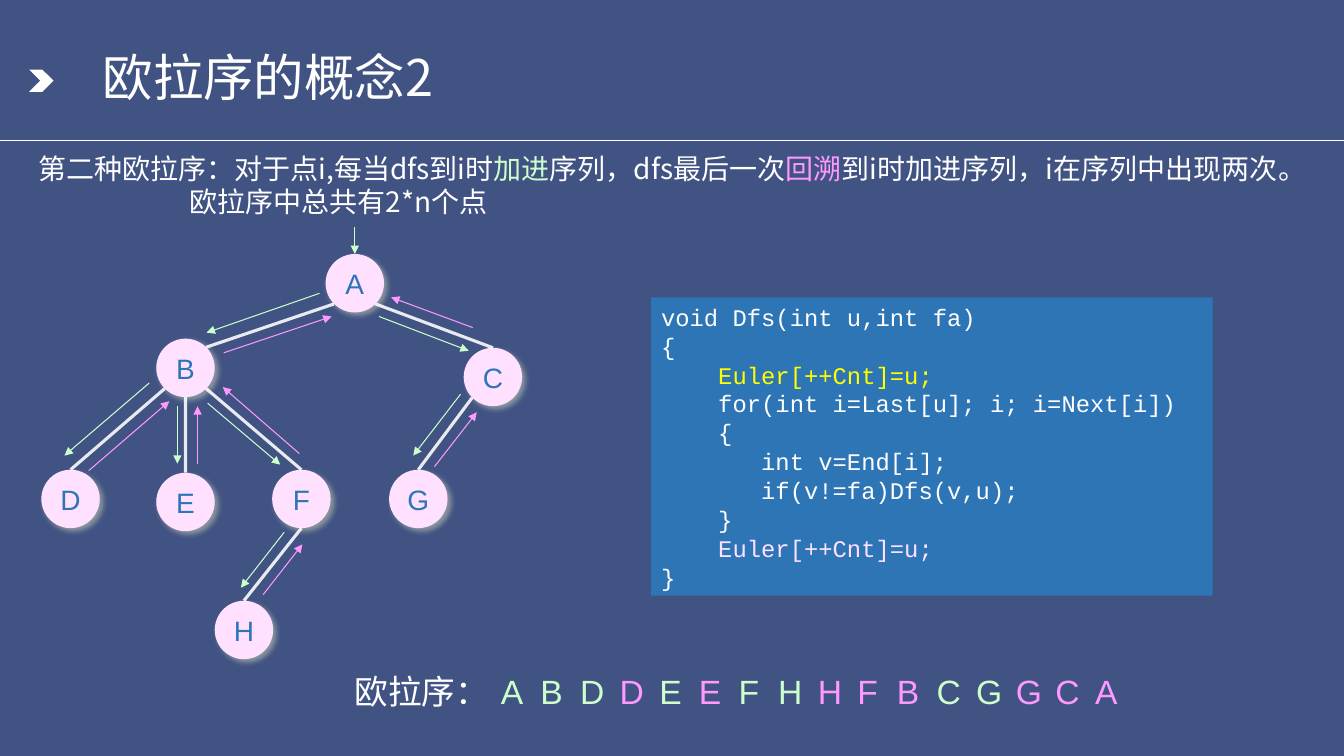
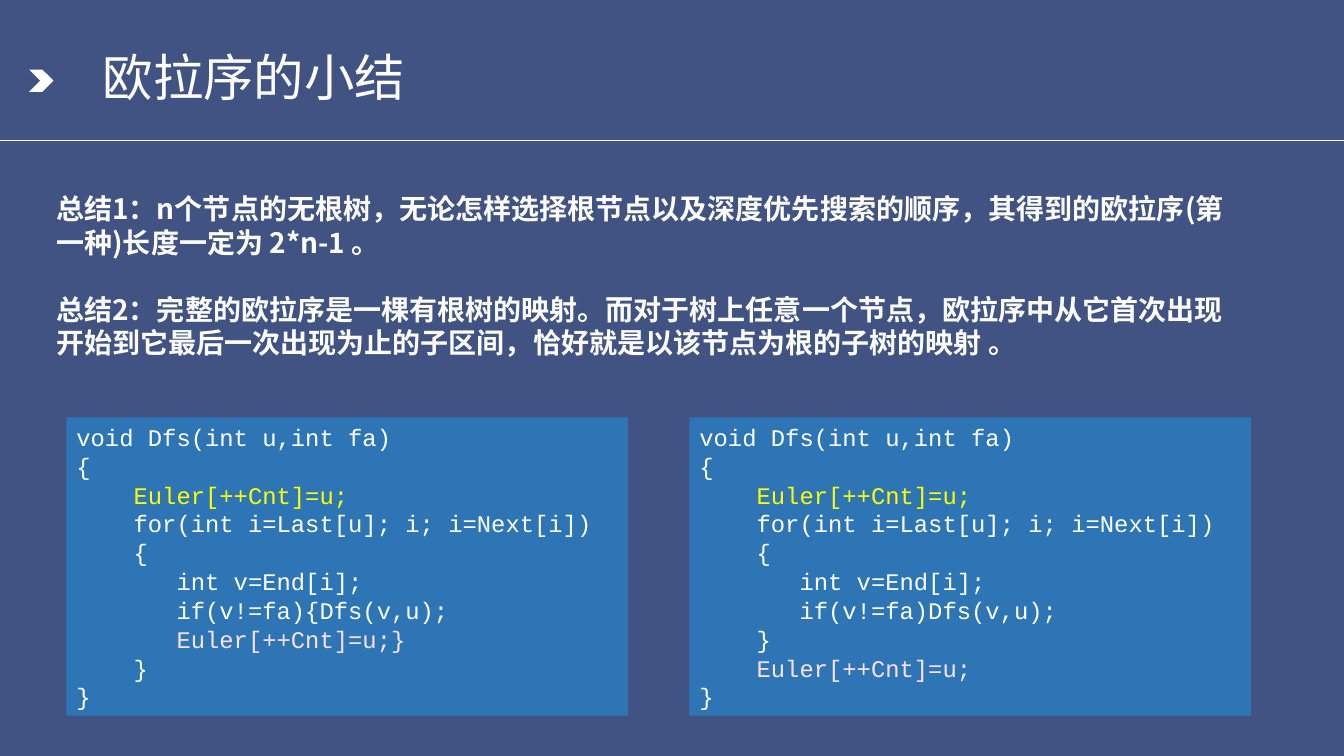
from dataclasses import dataclass
from math import cos, radians, sin

from lxml import etree
from pptx import Presentation
from pptx.dml.color import RGBColor
from pptx.enum.shapes import MSO_CONNECTOR, MSO_SHAPE
from pptx.enum.text import MSO_ANCHOR, PP_ALIGN
from pptx.oxml.ns import qn
from pptx.util import Inches, Pt

LINE = MSO_CONNECTOR.STRAIGHT
OVAL, RECT, CHEVRON = MSO_SHAPE.OVAL, MSO_SHAPE.RECTANGLE, MSO_SHAPE.CHEVRON
TOP, MIDDLE = MSO_ANCHOR.TOP, MSO_ANCHOR.MIDDLE
LEFT, CENTER = PP_ALIGN.LEFT, PP_ALIGN.CENTER

# The grid has square cells of a tenth of an inch
COLS, ROWS = 133.33, 75


def cell(count):
    return Inches(count / 10)


@dataclass(frozen=True)
class Theme:
    back: str = "415383"
    white: str = "FFFFFF"
    panel: str = "2E75B6"
    node: str = "FFE1FF"
    glow: str = "FFFFCC"
    enter: str = "CCFFCC"
    leave: str = "FF99FF"
    mark: str = "FFFF00"
    sans: str = "Noto Sans CJK SC"
    latin: str = "Arial"
    mono: str = "Courier New"
    title: int = 36
    large: int = 24
    body: int = 20
    code: int = 17


@dataclass(frozen=True)
class Box:
    left: float
    top: float
    wide: float
    high: float

    def inner(self, left, top, wide, high):
        return Box(self.left + left, self.top + top, wide, high)

    def spot(self, x, y):
        return self.left + x, self.top + y

    def place(self):
        return [cell(n) for n in (self.left, self.top, self.wide, self.high)]


T = Theme()


def text(shape, paras, size=T.body, font=T.sans, color=T.white, bold=False,
         align=LEFT, anchor=TOP, pad=(1, 0.5), pitch=None, gap=0, indents=()):
    """Each paragraph is a list of (words, colour); no colour means the default."""
    frame = shape.text_frame
    frame.word_wrap, frame.vertical_anchor = True, anchor
    frame.margin_left = frame.margin_right = cell(pad[0])
    frame.margin_top = frame.margin_bottom = cell(pad[1])
    for at, runs in enumerate(paras):
        para = frame.add_paragraph() if at else frame.paragraphs[0]
        para.alignment = align
        if pitch:
            para.line_spacing = pitch
        if at and gap:
            para.space_before = Pt(gap)
        if at < len(indents):
            para._p.get_or_add_pPr().set("marL", str(cell(indents[at])))
        for words, tint in runs:
            run = para.add_run()
            run.text = words
            run.font.size, run.font.bold, run.font.name = Pt(size), bold, font
            run.font.color.rgb = RGBColor.from_string(tint or color)
            east = etree.SubElement(run._r.get_or_add_rPr(), qn("a:ea"))
            east.set("typeface", T.sans)


def label(slide, box, paras, **form):
    text(slide.shapes.add_textbox(*box.place()), paras, **form)


def solid(slide, kind, box, color):
    shape = slide.shapes.add_shape(kind, *box.place())
    shape.shadow.inherit = False
    shape.fill.solid()
    shape.fill.fore_color.rgb = RGBColor.from_string(color)
    shape.line.fill.background()
    return shape


def wire(slide, start, end, color=T.white, width=0.75, alpha=None, head=False):
    line = slide.shapes.add_connector(LINE, *map(cell, (*start, *end)))
    line.line.width = Pt(width)
    line.line.color.rgb = RGBColor.from_string(color)
    props = line._element.spPr
    pen = props.find(qn("a:ln"))
    if alpha:
        tint = pen.find(".//" + qn("a:srgbClr"))
        etree.SubElement(tint, qn("a:alpha")).set("val", str(alpha * 1000))
    if head:
        etree.SubElement(pen, qn("a:tailEnd")).set("type", "triangle")
    etree.SubElement(props, qn("a:effectLst"))


# Shared frame: background, rule, chevron and title
def frame(deck, title):
    slide = deck.slides.add_slide(deck.slide_layouts[6])
    slide.background.fill.solid()
    slide.background.fill.fore_color.rgb = RGBColor.from_string(T.back)
    wire(slide, (0, 13.9), (COLS, 13.9))
    solid(slide, CHEVRON, Box(2.9, 6.9, 2.4, 2.2), T.white)
    label(slide, Box(9.2, 4, 115, 7.9), [[(title, None)]],
          size=T.title, anchor=MIDDLE, pitch=0.9)
    return slide


# Code panel: both versions share everything but the end
HEAD = [
    ("void Dfs(int u,int fa)", None),
    ("{", None),
    ("    Euler[++Cnt]=u;", T.mark),
    ("    for(int i=Last[u]; i; i=Next[i])", None),
    ("    {", None),
    ("       int v=End[i];", None),
]
FIRST = [
    ("       if(v!=fa){Dfs(v,u);", None),
    ("       Euler[++Cnt]=u;}", T.node),
    ("    }", None),
]
SECOND = [
    ("       if(v!=fa)Dfs(v,u);", None),
    ("    }", None),
    ("    Euler[++Cnt]=u;", T.node),
]


def code(slide, left, top, tail):
    panel = solid(slide, RECT, Box(left, top, 55.7, 29.6), T.panel)
    lines = HEAD + tail + [("}", None)]
    text(panel, [[line] for line in lines], size=T.code, font=T.mono,
         pitch=Pt(20.6))


# Tree: node centres, then edges with the angles at which they meet the
# circles, and the arrows down and up beside each edge
RADIUS = 2.9
NODES = {
    "A": (31.2, 6.1), "B": (14.4, 14.5), "C": (44.9, 15.4), "D": (3, 27.5),
    "E": (14.4, 27.8), "F": (25.9, 27.5), "G": (37.5, 27.5), "H": (20.2, 40.5),
}
EDGES = [
    ("AB", 135, -45, (27.7, 7.1, 16.5, 11), (18.2, 13, 28.9, 9.4)),
    ("AC", 45, -90, (33.6, 9.4, 42.5, 12.8), (42.9, 10.5, 34.8, 7.5)),
    ("BD", 135, -90, (10.8, 16, 2.4, 23.2), (4.8, 24.7, 12.8, 17.8)),
    ("BE", 90, -90, (13.6, 18.3, 13.6, 24), (15.6, 24, 15.6, 18.3)),
    ("BF", 45, -90, (16.6, 18, 23.8, 24.1), (25.7, 23, 18.1, 16.4)),
    ("CG", 135, -90, (41.7, 17.1, 37, 23.2), (39.1, 24.3, 43.3, 18.9)),
    ("FH", 90, -90, (24.2, 30.8, 19.9, 36.3), (22.1, 37, 26, 32)),
]
ROOT = (31.2, 0.5, 31.2, 3.2)


def glow(shape):
    effects = shape._element.spPr.find(qn("a:effectLst"))
    cast = etree.SubElement(effects, qn("a:outerShdw"), blurRad=str(Pt(4)),
                            dist=str(Pt(3)), dir=str(45 * 60000))
    tint = etree.SubElement(cast, qn("a:srgbClr"), val=T.glow)
    etree.SubElement(tint, qn("a:alpha"), val="40000")


def rim(box, name, angle):
    x, y = NODES[name]
    turn = radians(angle)
    return box.spot(x + RADIUS * cos(turn), y + RADIUS * sin(turn))


def tree(slide, box):
    for name, (x, y) in NODES.items():
        size = 2 * RADIUS
        ball = solid(slide, OVAL,
                     box.inner(x - RADIUS, y - RADIUS, size, size), T.node)
        glow(ball)
        text(ball, [[(name, T.panel)]], font=T.latin, align=CENTER,
             anchor=MIDDLE, pad=(0, 0))
    arrows = [(ROOT, T.enter)]
    for (high, low), out, into, down, up in EDGES:
        wire(slide, rim(box, high, out), rim(box, low, into),
             width=2.25, alpha=88)
        arrows += [(down, T.enter), (up, T.leave)]
    for ends, color in arrows:
        wire(slide, box.spot(*ends[:2]), box.spot(*ends[2:]), color, head=True)


# Euler order: a letter is green when entered and pink when left
def order(slide, box, names, step=3.93):
    style = dict(size=T.large, font=T.latin)
    label(slide, box.inner(0, 0, 14.5, box.high), [[("欧拉序：", None)]], **style)
    for at, name in enumerate(names):
        color = T.leave if name in names[:at] else T.enter
        label(slide, box.inner(14.5 + at * step, 0, 4.8, box.high),
              [[(name, color)]], **style)


def concept(deck):
    slide = frame(deck, "欧拉序的概念2")
    label(slide, Box(2.8, 14.5, 127.5, 7.7), [
        [("第二种欧拉序：对于点i,每当dfs到i时", None), ("加进", T.enter),
         ("序列，dfs最后一次", None), ("回溯", T.leave),
         ("到i时加进序列，i在序列中出现两次。", None)],
        [("欧拉序中总共有2*n个点", None)],
    ], pitch=Pt(24), indents=(0, 15))
    tree(slide, Box(4, 22, 48, 44))
    order(slide, Box(34.2, 66.1, 78, 5), "ABDDEEFHHFBCGGCA")
    code(slide, 64.6, 29.5, SECOND)


def summary(deck):
    slide = frame(deck, "欧拉序的小结")
    label(slide, Box(4.6, 18.5, 120.2, 17.8), [
        [("总结1：n个节点的无根树，无论怎样选择根节点以及深度优先搜索的顺序，"
          "其得到的欧拉序(第一种)长度一定为 2*n-1 。", None)],
        [("总结2：完整的欧拉序是一棵有根树的映射。而对于树上任意一个节点，"
          "欧拉序中从它首次出现开始到它最后一次出现为止的子区间，"
          "恰好就是以该节点为根的子树的映射 。", None)],
    ], bold=True, pitch=Pt(24), gap=24)
    for at, tail in enumerate((FIRST, SECOND)):
        code(slide, 6.6 + at * 61.8, 41.4, tail)


def main():
    deck = Presentation()
    deck.slide_width, deck.slide_height = cell(COLS), cell(ROWS)
    concept(deck)
    summary(deck)
    deck.save("out.pptx")


if __name__ == "__main__":
    main()
